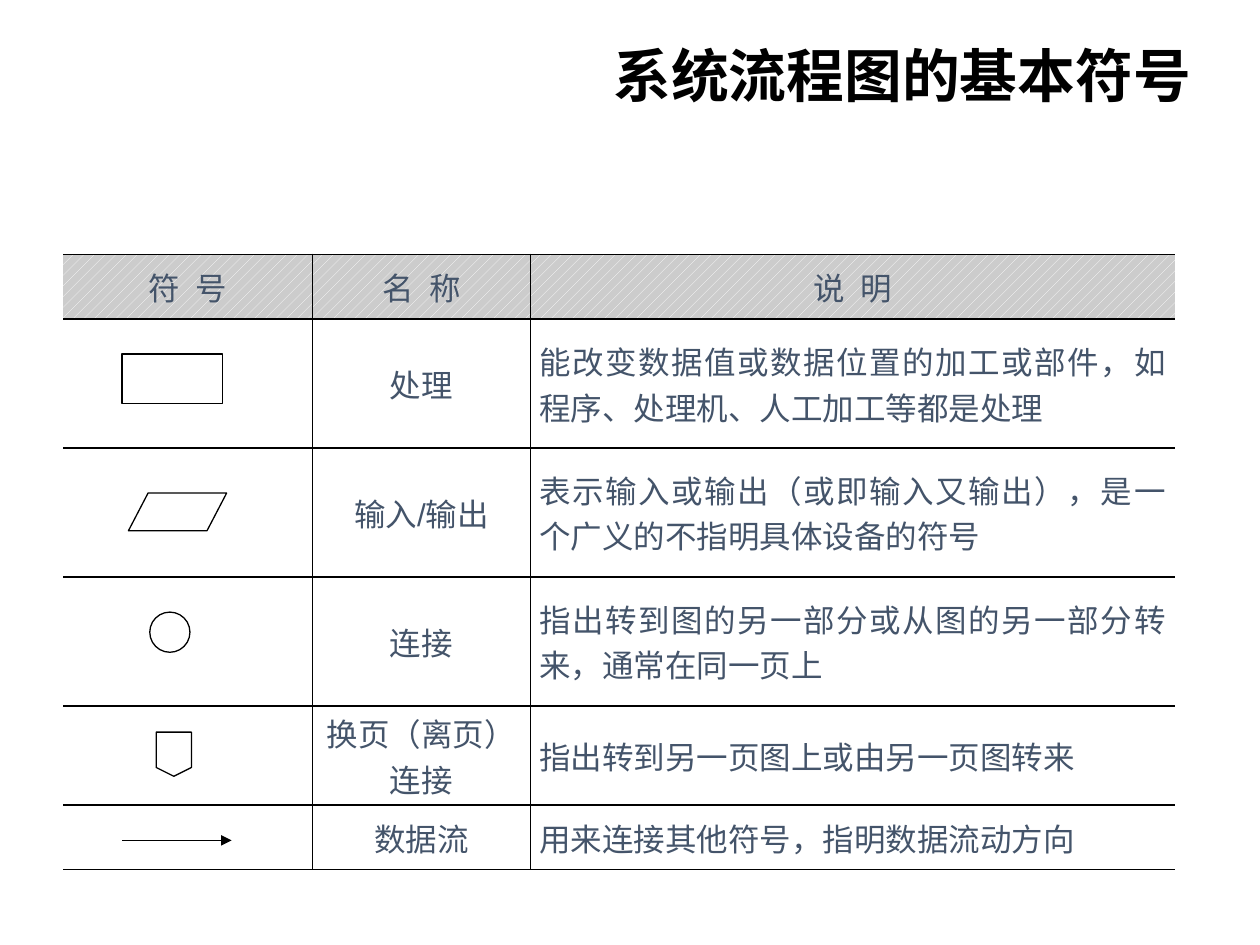
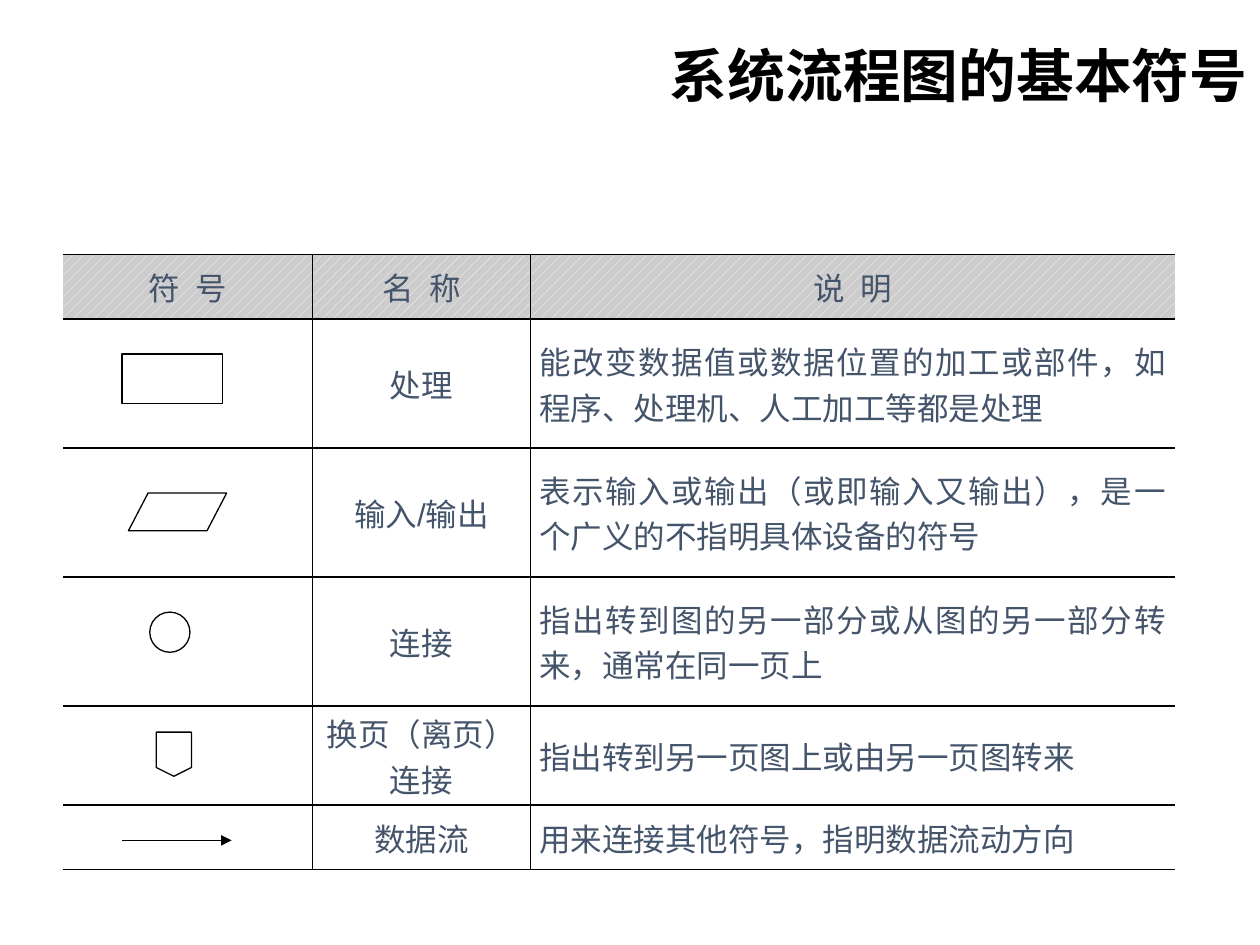
import pptx
import pptx.dml.color
import pptx.enum.dml
import pptx.enum.shapes
import pptx.enum.text
import pptx.oxml
import pptx.oxml.ns
import pptx.util
from lxml import etree

Cm = pptx.util.Cm
Pt = pptx.util.Pt
ALIGN = pptx.enum.text.PP_ALIGN
MIDDLE = pptx.enum.text.MSO_ANCHOR.MIDDLE
SHAPE = pptx.enum.shapes.MSO_SHAPE

COLORS = {"ink": "000000", "paper": "FFFFFF", "header": "CCCCCC", "body": "44546A"}
TITLE_FONT, BODY_FONT = "Calibri", "Arial"

TITLE = "系统流程图的基本符号"
TITLE_LEFT, TITLE_HEIGHT = 1.4, 3.18
TITLE_WIDTHS = [22.86, 24.0]  # one per slide

TABLE_LEFT, TABLE_TOP = 1.27, 5.13
COLUMN_WIDTHS = [5.03, 4.39, 13.0]
ROW_HEIGHTS = [1.3, 2.6, 2.6, 2.6, 2.0, 1.3]
HEADERS = ["符 号", "名 称", "说 明"]
HEADER_SPACING = 250  # hundredths of a point
DATA_FLOW = "arrow"

# Symbol, its box (left, top, width, height in cm) within the cell, name, description
SYMBOL_ROWS = [
    (SHAPE.RECTANGLE, (1.19, 0.71, 2.03, 0.99), "处理",
     "能改变数据值或数据位置的加工或部件，如程序、处理机、人工加工等都是处理"),
    (SHAPE.FLOWCHART_DATA, (1.32, 0.91, 1.98, 0.76), "输入/输出",
     "表示输入或输出（或即输入又输出），是一个广义的不指明具体设备的符号"),
    (SHAPE.FLOWCHART_CONNECTOR, (1.75, 0.71, 0.81, 0.81), "连接",
     "指出转到图的另一部分或从图的另一部分转来，通常在同一页上"),
    (SHAPE.FLOWCHART_OFFPAGE_CONNECTOR, (1.88, 0.53, 0.71, 0.89), "换页（离页）连接",
     "指出转到另一页图上或由另一页图转来"),
    (DATA_FLOW, (1.19, 0.71, 2.21, 0), "数据流",
     "用来连接其他符号，指明数据流动方向"),
]


def color(name):
    return pptx.dml.color.RGBColor.from_string(COLORS[name])


def add_run(paragraph, text, font_name, size, color_name, bold=False):
    run = paragraph.add_run()
    run.text = text
    run.font.name = font_name
    run.font.size = Pt(size)
    run.font.bold = bold
    run.font.color.rgb = color(color_name)
    return run


def format_title(title, left, top, width, height):
    title.left, title.top = Cm(left), Cm(top)
    title.width, title.height = Cm(width), Cm(height)
    frame = title.text_frame
    frame.auto_size = pptx.enum.text.MSO_AUTO_SIZE.NONE
    frame.vertical_anchor = MIDDLE
    paragraph = frame.paragraphs[0]
    paragraph.alignment = ALIGN.RIGHT
    paragraph.line_spacing = 0.9
    add_run(paragraph, TITLE, TITLE_FONT, 33, "ink", bold=True)


def set_borders(cell, sides):
    """Draw a 1 pt line on each of the sides, given as letters of LRTB."""
    properties = cell._tc.get_or_add_tcPr()
    for index, side in enumerate("LRTB"):
        width, fill = Pt(1), "<a:noFill/>"
        if side in sides:
            fill = f'<a:solidFill><a:srgbClr val="{COLORS["ink"]}"/></a:solidFill>'
        properties.insert(index, pptx.oxml.parse_xml(
            f'<a:ln{side} {pptx.oxml.ns.nsdecls("a")} w="{width}">{fill}</a:ln{side}>'))


def format_cell(cell, is_header, sides):
    cell.vertical_anchor = MIDDLE
    cell.margin_left = cell.margin_right = Cm(0.18)
    cell.margin_top = cell.margin_bottom = 0
    if is_header:
        cell.fill.patterned()
        cell.fill.pattern = pptx.enum.dml.MSO_PATTERN.PERCENT_20
        cell.fill.fore_color.rgb = color("paper")
        cell.fill.back_color.rgb = color("header")
    else:
        cell.fill.background()
    set_borders(cell, sides)


def add_symbol_table(slide, left, top):
    frame = slide.shapes.add_table(
        len(ROW_HEIGHTS), len(COLUMN_WIDTHS), Cm(left), Cm(top),
        Cm(sum(COLUMN_WIDTHS)), Cm(sum(ROW_HEIGHTS)))
    table = frame.table
    for column, width in zip(table.columns, COLUMN_WIDTHS):
        column.width = Cm(width)
    for row, height in zip(table.rows, ROW_HEIGHTS):
        row.height = Cm(height)

    texts = [HEADERS] + [["", name, description] for _, _, name, description in SYMBOL_ROWS]
    for row_index, row_texts in enumerate(texts):
        is_header = row_index == 0
        for column_index, (text, sides) in enumerate(zip(row_texts, ["RTB", "LRTB", "LTB"])):
            cell = table.cell(row_index, column_index)
            format_cell(cell, is_header, sides)
            if not text:
                continue
            paragraph = cell.text_frame.paragraphs[0]
            is_description = column_index == 2 and not is_header
            paragraph.alignment = ALIGN.JUSTIFY if is_description else ALIGN.CENTER
            run = add_run(paragraph, text, BODY_FONT, 18, "body")
            if is_header:
                run.font._element.set("spc", str(HEADER_SPACING))


def add_data_flow_arrow(slide, left, top, width):
    arrow = slide.shapes.add_connector(
        pptx.enum.shapes.MSO_CONNECTOR.STRAIGHT,
        Cm(left), Cm(top), Cm(left + width), Cm(top))
    arrow.line.color.rgb = color("ink")
    arrow.line.width = Pt(0.75)
    line = arrow.line._get_or_add_ln()
    etree.SubElement(line, pptx.oxml.ns.qn("a:tailEnd"), type="triangle")
    etree.SubElement(arrow._element.spPr, pptx.oxml.ns.qn("a:effectLst"))


def add_flowchart_symbol(slide, kind, left, top, width, height):
    symbol = slide.shapes.add_shape(kind, Cm(left), Cm(top), Cm(width), Cm(height))
    symbol.shadow.inherit = False
    symbol.fill.solid()
    symbol.fill.fore_color.rgb = color("paper")
    symbol.line.color.rgb = color("ink")
    symbol.line.width = Pt(0.75)


def add_symbols(slide, left, top):
    """Place each symbol in the first cell of its row of the table at left, top."""
    for index, (kind, box, _, _) in enumerate(SYMBOL_ROWS):
        x, y, width, height = box
        symbol_left = left + x
        symbol_top = top + sum(ROW_HEIGHTS[:index + 1]) + y
        if kind == DATA_FLOW:
            add_data_flow_arrow(slide, symbol_left, symbol_top, width)
        else:
            add_flowchart_symbol(slide, kind, symbol_left, symbol_top, width, height)


def add_symbol_slide(presentation, title_width):
    slide = presentation.slides.add_slide(presentation.slide_layouts.get_by_name("Title Only"))
    format_title(slide.shapes.title, TITLE_LEFT, 0, title_width, TITLE_HEIGHT)
    add_symbol_table(slide, TABLE_LEFT, TABLE_TOP)
    add_symbols(slide, TABLE_LEFT, TABLE_TOP)


def main():
    presentation = pptx.Presentation()
    presentation.slide_width, presentation.slide_height = Cm(25.4), Cm(19.05)
    for title_width in TITLE_WIDTHS:
        add_symbol_slide(presentation, title_width)
    presentation.save("out.pptx")


if __name__ == "__main__":
    main()
